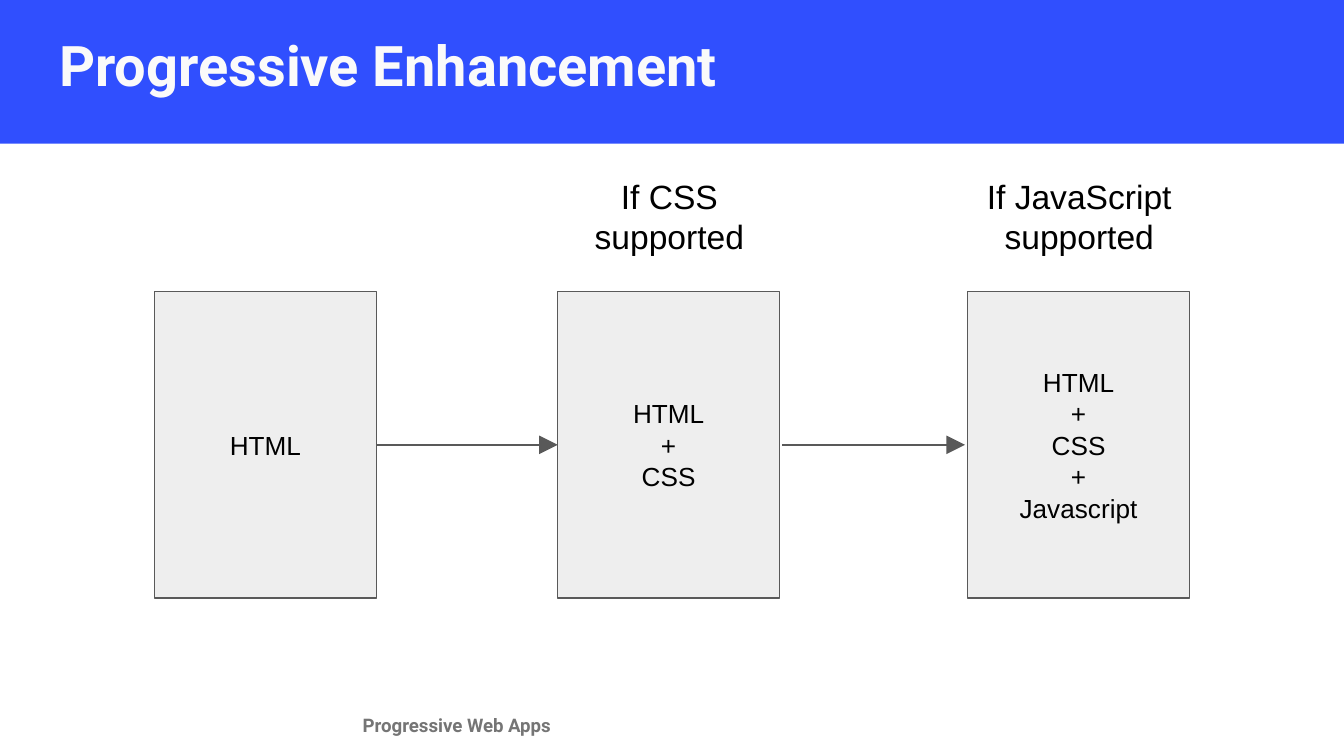
from lxml.etree import SubElement
from pptx import Presentation
from pptx.dml.color import RGBColor
from pptx.enum.shapes import MSO_CONNECTOR, MSO_SHAPE
from pptx.enum.text import MSO_ANCHOR, MSO_AUTO_SIZE, PP_ALIGN
from pptx.oxml.ns import qn
from pptx.util import Inches, Pt

WIDTH = 10
HEIGHT = WIDTH * 9 / 16
BLUE, PALE, GREY, DARK = "304FFE", "EEEEEE", "757575", "595959"
BLACK, WHITE = "000000", "FAFAFA"

# Left edge, caption and content of each stage
STAGES = [
    (1.15, "", ["HTML"]),
    (4.15, "If CSS supported", ["HTML", "+", "CSS"]),
    (7.2, "If JavaScript supported", ["HTML", "+", "CSS", "+", "Javascript"]),
]
TOP, WIDE, TALL = 2.17, 1.65, 2.28
GAPS = [0, 0.02]  # space at both ends of each arrow


def paint(color, hexa):
    """Set a colour format from a hex string."""
    color.rgb = RGBColor.from_string(hexa)


def write(shape, lines, size, color, font="Arial", bold=False,
          align=PP_ALIGN.LEFT, anchor=MSO_ANCHOR.TOP):
    """Fill a shape with one paragraph per line."""
    frame = shape.text_frame
    frame.text = "\n".join(lines)
    frame.word_wrap = True
    frame.auto_size = MSO_AUTO_SIZE.NONE
    frame.vertical_anchor = anchor
    frame.margin_left = frame.margin_right = Inches(0.1)
    frame.margin_top = frame.margin_bottom = Inches(0.1)
    for para in frame.paragraphs:
        para.alignment = align
        para.font.name, para.font.size = font, Pt(size)
        para.font.bold = bold
        paint(para.font.color, color)


def add_box(slide, box, fill, line=None):
    """Add a flat rectangle, outlined if a line colour is given."""
    shape = slide.shapes.add_shape(MSO_SHAPE.RECTANGLE, *map(Inches, box))
    shape.shadow.inherit = False
    shape.fill.solid()
    paint(shape.fill.fore_color, fill)
    if line:
        paint(shape.line.color, line)
        shape.line.width = Pt(0.75)
    else:
        shape.line.fill.background()
    return shape


def add_label(slide, box, text, size, color, **style):
    """Add a text box."""
    write(slide.shapes.add_textbox(*map(Inches, box)), [text], size, color, **style)


def add_header(slide, box, text):
    """Draw the banner and set the title upon it."""
    left, top, width, height = box
    banner = add_box(slide, box, BLUE)
    title = slide.shapes.title
    title.element.addprevious(banner.element)
    title.left, title.top = Inches(left + 0.35), Inches(top + 0.14)
    title.width, title.height = Inches(width - 0.69), Inches(0.76)
    write(title, [text], 30, WHITE, "Roboto", True, anchor=MSO_ANCHOR.MIDDLE)


def add_stage(slide, box, caption, lines):
    """Draw a stage box with its caption above."""
    left, top, width, height = box
    shape = add_box(slide, box, PALE, DARK)
    write(shape, lines, 14, BLACK, align=PP_ALIGN.CENTER, anchor=MSO_ANCHOR.MIDDLE)
    if caption:
        add_label(slide, (left - 0.01, top - 0.96, width + 0.03, 0.76), caption,
                  18, BLACK, align=PP_ALIGN.CENTER)


def add_arrow(slide, start, end, level):
    """Draw a level arrow from start to end."""
    arrow = slide.shapes.add_connector(
        MSO_CONNECTOR.STRAIGHT, *map(Inches, (start, level, end, level)))
    paint(arrow.line.color, DARK)
    arrow.line.width = Pt(0.75)
    SubElement(arrow.line._get_or_add_ln(), qn("a:tailEnd"),
               type="triangle", w="lg", len="lg")
    SubElement(arrow.element.spPr, qn("a:effectLst"))


def add_flow(slide):
    """Draw the stages and the arrows between them."""
    for left, caption, lines in STAGES:
        add_stage(slide, (left, TOP, WIDE, TALL), caption, lines)
    for here, after, gap in zip(STAGES, STAGES[1:], GAPS):
        add_arrow(slide, here[0] + WIDE + gap, after[0] - gap, TOP + TALL / 2)


def build():
    """Build the deck and save it."""
    deck = Presentation()
    deck.slide_width, deck.slide_height = Inches(WIDTH), Inches(HEIGHT)
    slide = deck.slides.add_slide(deck.slide_layouts[5])
    add_label(slide, (2.6, 5.21, 5.79, 0.25), "Progressive Web Apps",
              10, GREY, font="Roboto", bold=True)
    add_header(slide, (-0.01, -0.04, 10.01, 1.11), "Progressive Enhancement")
    add_flow(slide)
    deck.save("out.pptx")


build()
